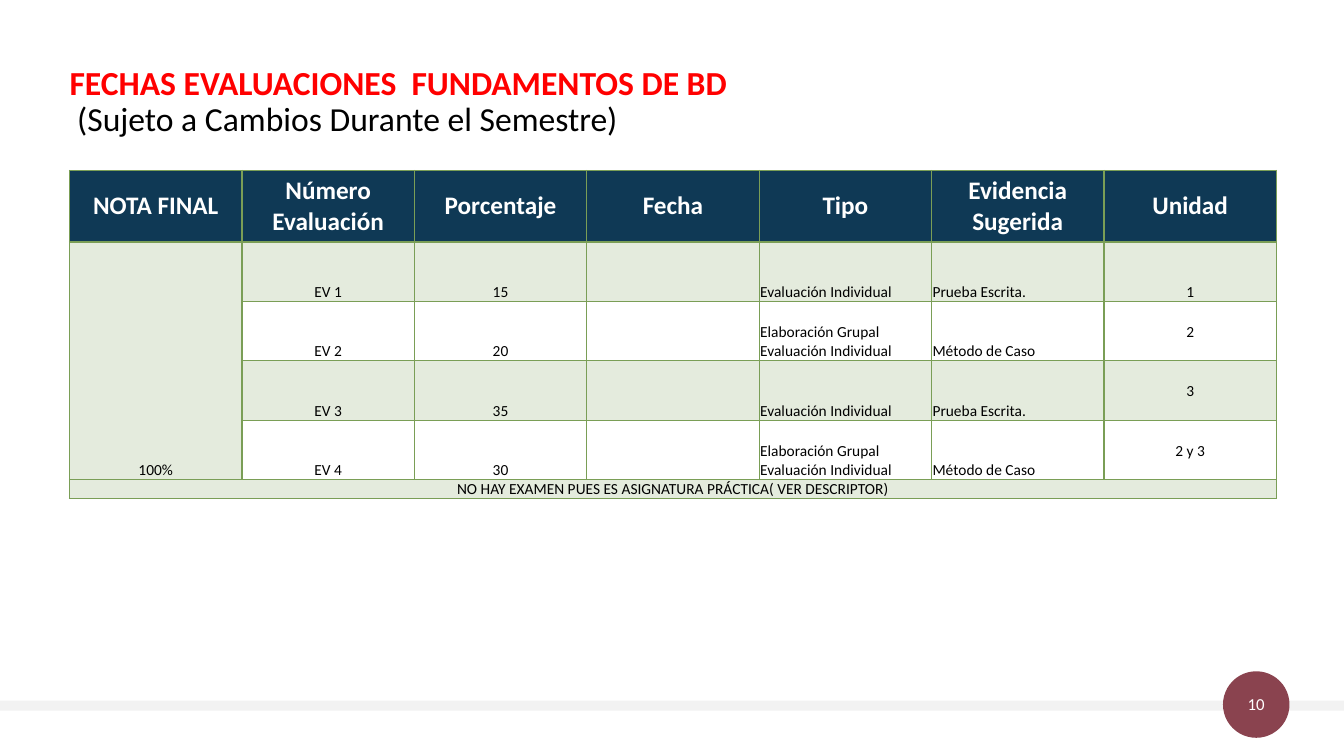
from dataclasses import dataclass

import lxml.etree
import pptx
import pptx.dml.color
import pptx.enum.shapes
import pptx.enum.text
import pptx.oxml.ns
import pptx.util

Inches = pptx.util.Inches
Pt = pptx.util.Pt
RGBColor = pptx.dml.color.RGBColor
Align = pptx.enum.text.PP_ALIGN
Anchor = pptx.enum.text.MSO_ANCHOR
Preset = pptx.enum.shapes.MSO_SHAPE
qn = pptx.oxml.ns.qn

RED = RGBColor(0xFF, 0x00, 0x00)
BLACK = RGBColor(0x00, 0x00, 0x00)
WHITE = RGBColor(0xFF, 0xFF, 0xFF)
NAVY = RGBColor(0x0F, 0x39, 0x55)
GREEN = RGBColor(0x7A, 0x9E, 0x56)
MAROON = RGBColor(0x8A, 0x43, 0x4F)
PALE_GREY = RGBColor(0xF2, 0xF2, 0xF2)
FONT = "Calibri"

HEADERS = ["NOTA FINAL", "Número Evaluación", "Porcentaje", "Fecha", "Tipo",
           "Evidencia Sugerida", "Unidad"]
FINAL_GRADE = "100%"
EXAM_NOTE = "NO HAY EXAMEN PUES ES ASIGNATURA PRÁCTICA( VER DESCRIPTOR)"
COLUMN_WIDTH = 1.71
ROW_HEIGHTS = [0.71, 0.59, 0.59, 0.59, 0.59, 0.19]
LEFT_ALIGNED_COLUMNS = (4, 5)
UNIT_COLUMN = 6


@dataclass
class Evaluation:
    number: str
    percentage: str
    kind: str
    evidence: str
    unit: str
    unit_lift: float = 0.19  # inches between the unit and the cell bottom

    def texts(self) -> list[str]:
        return ["", self.number, self.percentage, "", self.kind, self.evidence, self.unit]


INDIVIDUAL = "Evaluación Individual"
GROUP = "Elaboración Grupal Evaluación Individual"
EVALUATIONS = [
    Evaluation("EV 1", "15", INDIVIDUAL, "Prueba Escrita.", "1", unit_lift=0),
    Evaluation("EV 2", "20", GROUP, "Método de Caso", "2"),
    Evaluation("EV 3", "35", INDIVIDUAL, "Prueba Escrita.", "3"),
    Evaluation("EV 4", "30", GROUP, "Método de Caso", "2 y 3"),
]


def style_font(font, size: float, color: RGBColor, bold: bool = False) -> None:
    font.name, font.size, font.bold = FONT, Pt(size), bold
    font.color.rgb = color


def set_margins(target, left: float, top: float, right: float, bottom: float) -> None:
    target.margin_left, target.margin_top = Inches(left), Inches(top)
    target.margin_right, target.margin_bottom = Inches(right), Inches(bottom)


def add_plain_shape(page, preset, left: float, top: float, width: float, height: float,
                    color: RGBColor):
    shape = page.shapes.add_shape(preset, Inches(left), Inches(top), Inches(width), Inches(height))
    shape.shadow.inherit = False
    shape.fill.solid()
    shape.fill.fore_color.rgb = color
    shape.line.fill.background()
    return shape


def add_text_box(page, left: float, top: float, width: float, height: float):
    box = page.shapes.add_textbox(Inches(left), Inches(top), Inches(width), Inches(height))
    box.text_frame.word_wrap = True
    return box.text_frame


def add_footer(page) -> None:
    add_plain_shape(page, Preset.RECTANGLE, 0, 6.95, 13.33, 0.1, PALE_GREY)
    add_plain_shape(page, Preset.OVAL, 12.13, 6.66, 0.66, 0.66, MAROON)
    frame = add_text_box(page, 12.13, 6.77, 0.66, 0.43)
    set_margins(frame, 0, 0, 0, 0)
    frame.vertical_anchor = Anchor.MIDDLE
    para = frame.paragraphs[0]
    para.text = "10"
    para.alignment = Align.CENTER
    style_font(para.font, 12, WHITE)


def add_title(page) -> None:
    frame = add_text_box(page, 0.69, 0.61, 11.83, 0.91)
    set_margins(frame, 0, 0.05, 0.1, 0.05)
    para = frame.paragraphs[0]
    para.line_spacing = 0.9
    span = para.add_run()
    span.text = "FECHAS EVALUACIONES  FUNDAMENTOS DE BD"
    style_font(span.font, 24, RED, bold=True)
    para.add_line_break()
    span = para.add_run()
    span.text = " (Sujeto a Cambios Durante el Semestre)"
    style_font(span.font, 24, BLACK)


def add_borders(cell, bottom_width: float) -> None:
    properties = cell._tc.get_or_add_tcPr()
    for side, width in (("L", 1), ("R", 1), ("T", 1), ("B", bottom_width)):
        line = lxml.etree.SubElement(properties, qn(f"a:ln{side}"), w=str(Pt(width)))
        fill = lxml.etree.SubElement(line, qn("a:solidFill"))
        lxml.etree.SubElement(fill, qn("a:srgbClr"), val=str(GREEN))


def fill_green_tint(cell) -> None:
    cell.fill.solid()
    cell.fill.fore_color.rgb = GREEN
    color = cell._tc.tcPr.find(f"{qn('a:solidFill')}/{qn('a:srgbClr')}")
    lxml.etree.SubElement(color, qn("a:alpha"), val="20000")


def write_header_cell(cell, text: str) -> None:
    add_borders(cell, 2)
    cell.fill.solid()
    cell.fill.fore_color.rgb = NAVY
    cell.vertical_anchor = Anchor.MIDDLE
    para = cell.text_frame.paragraphs[0]
    para.text = text
    para.alignment = Align.CENTER
    style_font(para.font, 18, WHITE, bold=True)


def write_body_cell(cell, text: str, tinted: bool, centred: bool, lift: float = 0) -> None:
    add_borders(cell, 1)
    if tinted:
        fill_green_tint(cell)
    else:
        cell.fill.background()
    cell.vertical_anchor = Anchor.BOTTOM
    inset = 0 if centred else 0.01
    set_margins(cell, inset, inset, inset, lift)
    para = cell.text_frame.paragraphs[0]
    para.text = text
    para.alignment = Align.CENTER if centred else Align.LEFT
    style_font(para.font, 11, BLACK)


def add_evaluation_table(page) -> None:
    rows, columns = len(ROW_HEIGHTS), len(HEADERS)
    table = page.shapes.add_table(rows, columns, Inches(0.69), Inches(1.69),
                                  Inches(COLUMN_WIDTH * columns), Inches(sum(ROW_HEIGHTS))).table
    table.first_row = table.horz_banding = False
    for column in table.columns:
        column.width = Inches(COLUMN_WIDTH)
    for row, height in zip(table.rows, ROW_HEIGHTS):
        row.height = Inches(height)

    for column, header in enumerate(HEADERS):
        write_header_cell(table.cell(0, column), header)
    for row, evaluation in enumerate(EVALUATIONS, start=1):
        for column, text in enumerate(evaluation.texts()):
            if column == 0 and row == 1:
                text = FINAL_GRADE
            write_body_cell(table.cell(row, column), text,
                            tinted=row % 2 == 1 or column == 0,
                            centred=column not in LEFT_ALIGNED_COLUMNS,
                            lift=evaluation.unit_lift if column == UNIT_COLUMN else 0)
    for column in range(columns):
        write_body_cell(table.cell(rows - 1, column), EXAM_NOTE if column == 0 else "",
                        tinted=True, centred=True)
    table.cell(1, 0).merge(table.cell(rows - 2, 0))
    table.cell(rows - 1, 0).merge(table.cell(rows - 1, columns - 1))


def main() -> None:
    deck = pptx.Presentation()
    deck.slide_width, deck.slide_height = Inches(13.33), Inches(7.5)
    page = deck.slides.add_slide(deck.slide_layouts[6])
    add_footer(page)
    add_title(page)
    add_evaluation_table(page)
    deck.save("out.pptx")


if __name__ == "__main__":
    main()
